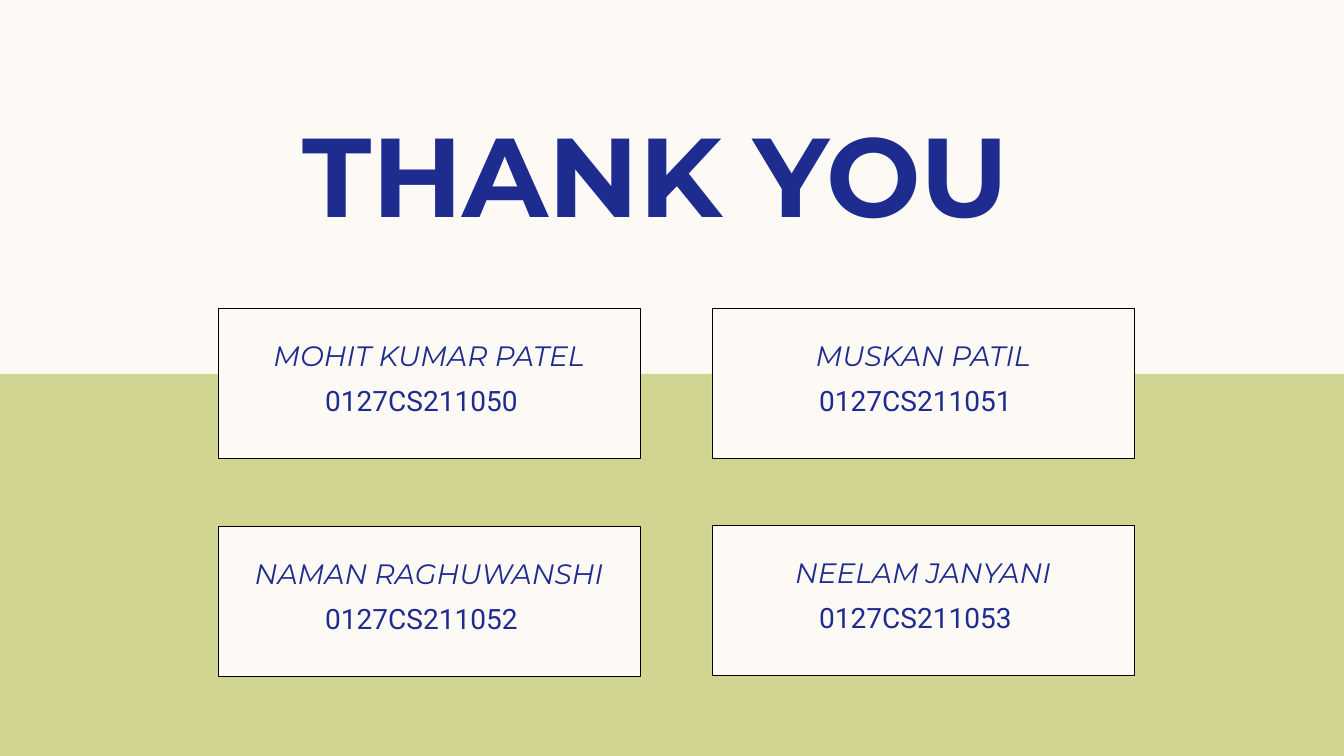
import pptx
from pptx.dml.color import RGBColor
from pptx.enum.shapes import MSO_SHAPE
from pptx.enum.text import MSO_ANCHOR, PP_ALIGN
from pptx.util import Inches, Pt

TITLE = "THANK YOU "
# name, roll number, left, top
CARDS = [
    ("MOHIT KUMAR PATEL", "0127CS211050", 2.16, 3.06),
    ("MUSKAN PATIL", "0127CS211051", 7.06, 3.06),
    ("NAMAN RAGHUWANSHI", "0127CS211052", 2.16, 5.22),
    ("NEELAM JANYANI", "0127CS211053", 7.06, 5.21),
]
WIDE, HIGH = 13.33, 7.5
BAND_TOP = 3.71
CARD_W, CARD_H = 4.19, 1.49
ROLL_DX, ROLL_DY = 0.18, 0.67
ROLL_W, ROLL_H = 3.68, 0.49

CREAM = RGBColor(0xFD, 0xFA, 0xF6)
GREEN = RGBColor(0xD2, 0xD5, 0x92)
NAVY = RGBColor(0x1F, 0x2C, 0x8F)
BLACK = RGBColor(0, 0, 0)


def add_rect(slide, box, fill, line=None):
    rect = slide.shapes.add_shape(MSO_SHAPE.RECTANGLE, *map(Inches, box))
    rect.shadow.inherit = False
    rect.fill.solid()
    rect.fill.fore_color.rgb = fill
    if line is None:
        rect.line.fill.background()
    else:
        rect.line.color.rgb = line
        rect.line.width = Pt(0.25)
    return rect


def set_text(shape, text, face, size, anchor, insets):
    """Write one centred navy line; insets are left, top, right, bottom."""
    frame = shape.text_frame
    frame.word_wrap = True
    frame.vertical_anchor = anchor
    (frame.margin_left, frame.margin_top,
     frame.margin_right, frame.margin_bottom) = map(Inches, insets)
    line = frame.paragraphs[0]
    line.text = text
    line.alignment = PP_ALIGN.CENTER
    line.font.name = face
    line.font.size = Pt(size)
    line.font.color.rgb = NAVY
    return line


def add_card(slide, name, roll, left, top):
    card = add_rect(slide, (left, top, CARD_W, CARD_H), CREAM, BLACK)
    line = set_text(card, name, "Montserrat", 20, MSO_ANCHOR.TOP,
                    (0, 0.3, 0, 0.05))
    line.font.italic = True
    box = (left + ROLL_DX, top + ROLL_DY, ROLL_W, ROLL_H)
    label = slide.shapes.add_textbox(*map(Inches, box))
    line = set_text(label, roll, "Roboto", 20, MSO_ANCHOR.MIDDLE,
                    (0.1, 0.05, 0.1, 0.05))
    line.space_before = Pt(3.6)


def main():
    deck = pptx.Presentation()
    deck.slide_width, deck.slide_height = Inches(WIDE), Inches(HIGH)
    slide = deck.slides.add_slide(deck.slide_layouts[6])
    slide.background.fill.solid()
    slide.background.fill.fore_color.rgb = CREAM

    add_rect(slide, (0, BAND_TOP, WIDE, HIGH - BAND_TOP), GREEN)
    title = slide.shapes.add_textbox(
        Inches(0.83), Inches(0.89), Inches(11.67), Inches(1.49))
    line = set_text(title, TITLE, "Montserrat", 80, MSO_ANCHOR.BOTTOM,
                    (0.1, 0, 0.1, 0))
    line.font.bold = True
    for card in CARDS:
        add_card(slide, *card)
    deck.save("out.pptx")


if __name__ == "__main__":
    main()
